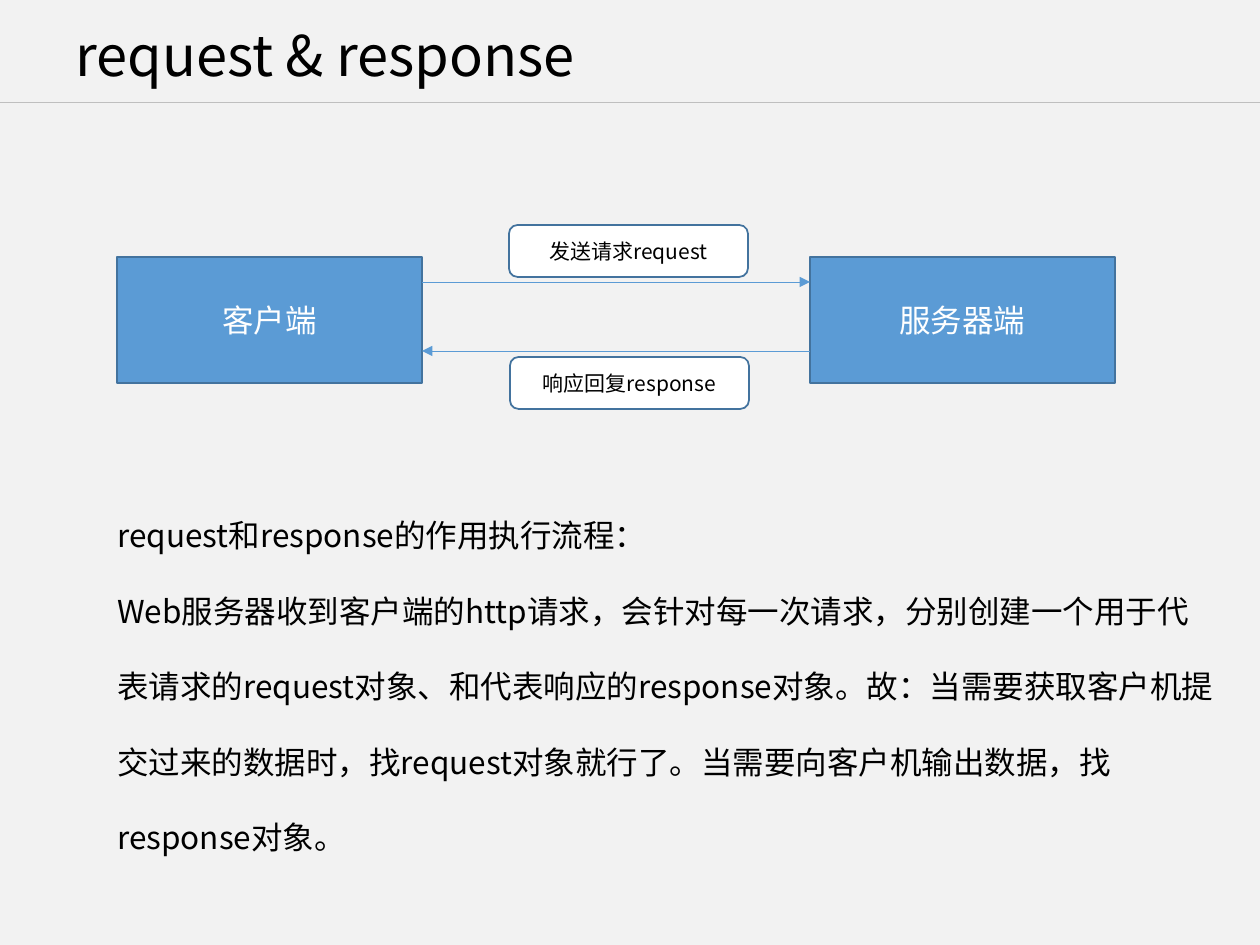
import pptx
import pptx.util
import pptx.dml.color
import pptx.enum.shapes
import pptx.enum.text
import pptx.oxml.ns
import lxml.etree

FONT = "Noto Sans CJK SC"
HUES = {
    "back": "F2F2F2",
    "rule": "BFBFBF",
    "box": "5B9BD5",
    "edge": "43739E",
    "dark": "000000",
    "white": "FFFFFF",
}
KIND = pptx.enum.shapes.MSO_SHAPE
ALIGN = pptx.enum.text.PP_ALIGN
ANCHOR = pptx.enum.text.MSO_ANCHOR
BODY = [
    "request和response的作用执行流程：",
    "Web服务器收到客户端的http请求，会针对每一次请求，"
    "分别创建一个用于代表请求的request对象、和代表响应的response对象。"
    "故：当需要获取客户机提交过来的数据时，找request对象就行了。"
    "当需要向客户机输出数据，找response对象。",
]


def px(num):
    return pptx.util.Emu(round(num * 914400 / 126))


def hue(name):
    return pptx.dml.color.RGBColor.from_string(HUES[name])


def tag(parent, name, **attrs):
    return lxml.etree.SubElement(parent, pptx.oxml.ns.qn(name), attrs)


def write(shape, lines, size, color, align, space=None):
    frame = shape.text_frame
    frame.word_wrap = True
    for num, line in enumerate(lines):
        para = frame.add_paragraph() if num else frame.paragraphs[0]
        para.alignment = align
        para.line_spacing = space
        run = para.add_run()
        run.text = line
        run.font.size = pptx.util.Pt(size)
        run.font.name = FONT
        run.font.color.rgb = hue(color)
        tag(run.font._element, "a:ea", typeface=FONT)


def add_text(slide, area, lines, size, space, anchor):
    box = slide.shapes.add_textbox(*map(px, area))
    box.text_frame.vertical_anchor = anchor
    write(box, lines, size, "dark", ALIGN.LEFT, space)


def add_box(slide, kind, area, label, size, fill, color):
    box = slide.shapes.add_shape(kind, *map(px, area))
    box.shadow.inherit = False
    box.fill.solid()
    box.fill.fore_color.rgb = hue(fill)
    box.line.color.rgb = hue("edge")
    box.line.width = pptx.util.Pt(1)
    box.text_frame.vertical_anchor = ANCHOR.MIDDLE
    write(box, [label], size, color, ALIGN.CENTER)


def add_line(slide, start, end, top, color, arrow=False):
    line = slide.shapes.add_connector(
        pptx.enum.shapes.MSO_CONNECTOR.STRAIGHT,
        px(start), px(top), px(end), px(top))
    line.line.color.rgb = hue(color)
    line.line.width = pptx.util.Pt(0.5)
    if arrow:
        tag(line.line._get_or_add_ln(), "a:tailEnd", type="triangle")
    tag(line._element.spPr, "a:effectLst")


def main():
    deck = pptx.Presentation()
    deck.slide_width, deck.slide_height = px(1260), px(945)
    slide = deck.slides.add_slide(deck.slide_layouts[6])
    slide.background.fill.solid()
    slide.background.fill.fore_color.rgb = hue("back")

    add_line(slide, 0, 1260, 102, "rule")
    add_text(slide, (63, 19, 634, 78), ["request & response"], 32, 0.9,
             ANCHOR.MIDDLE)

    wide, left, right = 305, 117, 810
    for side, label in ((left, "客户端"), (right, "服务器端")):
        add_box(slide, KIND.RECTANGLE, (side, 257, wide, 126),
                label, 18, "box", "white")

    near = left + wide
    add_line(slide, near, right, 282, "box", True)
    add_line(slide, right, near, 351, "box", True)
    for side, top, label in ((509, 225, "发送请求request"),
                             (510, 357, "响应回复response")):
        add_box(slide, KIND.ROUNDED_RECTANGLE, (side, top, 239, 52),
                label, 12, "white", "dark")

    add_text(slide, (105, 472, 1121, 307), BODY, 18, 2, ANCHOR.TOP)
    deck.save("out.pptx")


if __name__ == "__main__":
    main()
